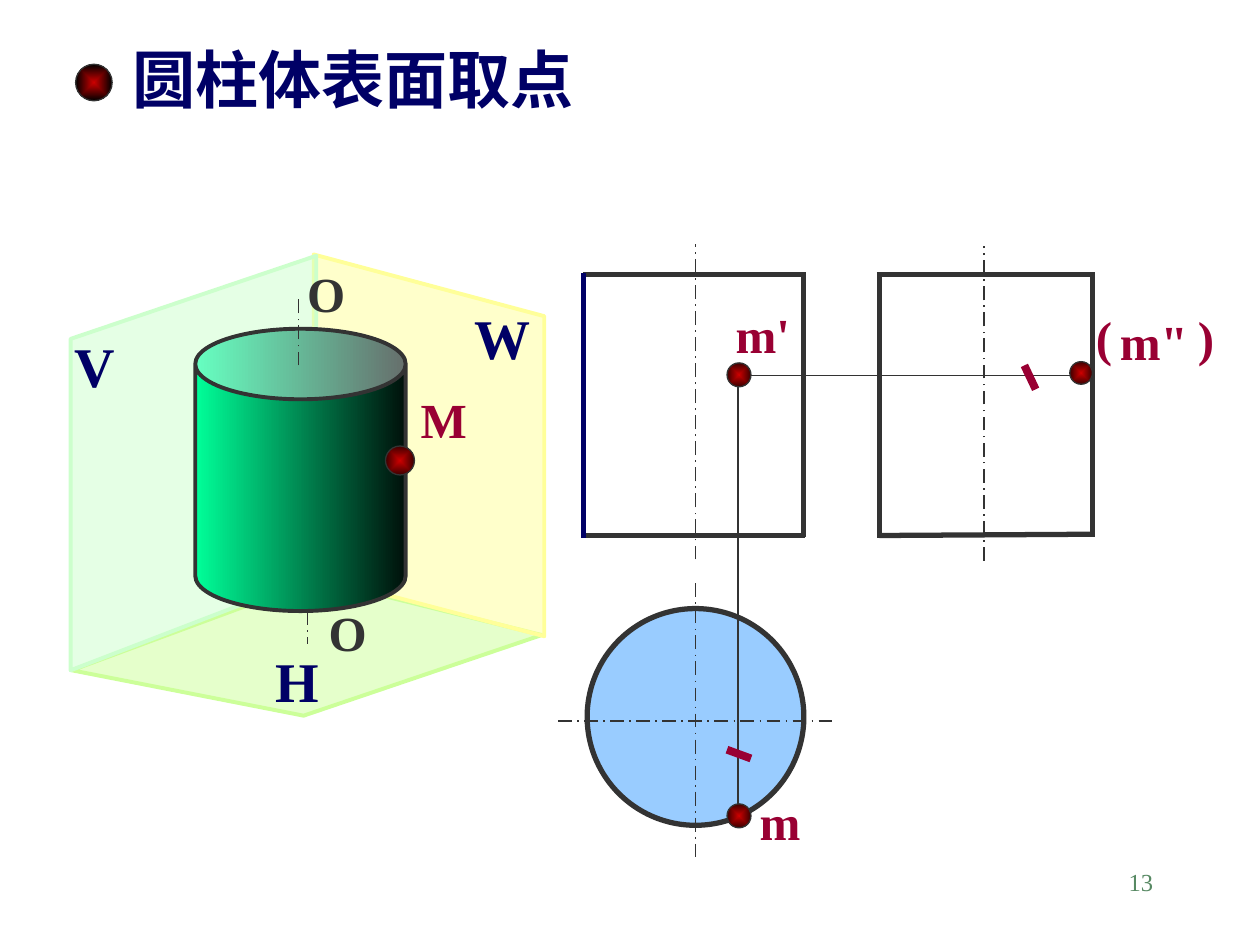
from lxml import etree
from pptx import Presentation
from pptx.dml.color import RGBColor
from pptx.enum.dml import MSO_LINE
from pptx.enum.shapes import MSO_CONNECTOR, MSO_SHAPE
from pptx.enum.text import MSO_ANCHOR, MSO_AUTO_SIZE, PP_ALIGN
from pptx.oxml.ns import qn
from pptx.util import Inches, Pt

OVAL, CAN = MSO_SHAPE.OVAL, MSO_SHAPE.CAN
STRAIGHT, AXIS_DASH = MSO_CONNECTOR.STRAIGHT, MSO_LINE.LONG_DASH_DOT
LEFT, RIGHT = PP_ALIGN.LEFT, PP_ALIGN.RIGHT
FONT = "Times New Roman"
NAVY, CRIMSON, DARK = "000066", "990033", "333333"


def rgb(color):
    return RGBColor.from_string(color)


def style_text(shape, text, size, color, bold=True, align=LEFT, wrap=False):
    tf = shape.text_frame
    tf.auto_size = MSO_AUTO_SIZE.NONE
    tf.word_wrap = wrap
    tf.vertical_anchor = MSO_ANCHOR.TOP
    p = tf.paragraphs[0]
    p.text = text
    p.alignment = align
    font = p.runs[0].font
    font.name, font.size, font.bold = FONT, Pt(size), bold
    font.color.rgb = rgb(color)
    return p


def add_label(s, text, x, y, w, h=0.57, size=28, color=CRIMSON, **options):
    box = s.shapes.add_textbox(Inches(x), Inches(y), Inches(w), Inches(h))
    return style_text(box, text, size, color, **options)


def add_line(s, x1, y1, x2, y2, width=3, color=DARK, dash=None):
    line = s.shapes.add_connector(
        STRAIGHT, Inches(x1), Inches(y1), Inches(x2), Inches(y2))
    line.line.color.rgb = rgb(color)
    line.line.width = Pt(width)
    if dash:
        line.line.dash_style = dash
    etree.SubElement(line._element.spPr, qn("a:effectLst"))


def add_axis(s, *ends):
    add_line(s, *ends, width=1, dash=AXIS_DASH)


def add_solid(s, kind, x, y, w, h, line_width):
    shape = s.shapes.add_shape(kind, Inches(x), Inches(y), Inches(w), Inches(h))
    shape.shadow.inherit = False
    shape.line.color.rgb = rgb(DARK)
    shape.line.width = Pt(line_width)
    return shape


def set_gradient(shape, start, end):
    fill = shape.fill
    fill.gradient()
    fill.gradient_angle = 0
    for stop, color, position in zip(fill.gradient_stops, (start, end), (0, 1)):
        stop.color.rgb = rgb(color)
        stop.position = position


def add_ball(s, x, y, size, edge="3C0000"):
    ball = add_solid(s, OVAL, x, y, size, size, 0.75)
    set_gradient(ball, "CC0000", edge)
    # Turn the linear gradient into one that spreads from the centre
    grad = ball._element.spPr.find(qn("a:gradFill"))
    lin = grad.find(qn("a:lin"))
    spread = etree.Element(qn("a:path"), path="shape")
    etree.SubElement(spread, qn("a:fillToRect"),
                     l="50000", t="50000", r="50000", b="50000")
    grad.replace(lin, spread)


def add_plane(s, color, points):
    corners = [(Inches(x), Inches(y)) for x, y in points]
    builder = s.shapes.build_freeform(*corners[0])
    builder.add_line_segments(corners[1:], close=True)
    plane = builder.convert_to_shape()
    plane.shadow.inherit = False
    plane.fill.solid()
    plane.fill.fore_color.rgb = rgb(color)
    fill_color = plane._element.spPr.find(qn("a:solidFill"))[0]
    etree.SubElement(fill_color, qn("a:alpha"), val="50000")
    plane.line.color.rgb = rgb(color)
    plane.line.width = Pt(2.25)


def add_views(s):
    # Top view
    circle = add_solid(s, OVAL, 4.66, 4.83, 1.72, 1.72, 3)
    circle.fill.solid()
    circle.fill.fore_color.rgb = rgb("99CCFF")
    add_axis(s, 5.52, 4.63, 5.52, 6.8)
    add_axis(s, 4.43, 5.72, 6.61, 5.72)
    # Front view
    add_axis(s, 5.52, 4.44, 5.52, 1.94)
    add_line(s, 6.38, 4.26, 6.38, 2.2)
    add_line(s, 4.65, 4.25, 6.39, 4.25)
    add_line(s, 4.63, 2.18, 6.4, 2.18)
    add_line(s, 4.63, 4.27, 4.63, 2.17, color=NAVY)
    # Side view
    add_axis(s, 7.81, 4.45, 7.81, 1.95)
    add_line(s, 6.96, 2.18, 8.69, 2.18)
    add_line(s, 6.98, 4.25, 8.69, 4.24)
    add_line(s, 6.98, 4.27, 6.98, 2.18)
    add_line(s, 8.67, 4.25, 8.67, 2.17)


def add_space_model(s):
    # Projection planes H, W and V
    add_plane(s, "CCFF99", [(2.52, 4.6), (0.57, 5.32), (2.41, 5.68), (4.3, 5.04)])
    add_plane(s, "FFFF99", [(2.49, 2.02), (2.49, 4.57), (4.32, 5.05), (4.32, 2.51)])
    add_plane(s, "CCFFCC", [(0.56, 2.69), (2.51, 2.03), (2.51, 4.57), (0.56, 5.32)])
    for name, x, y, w in (("V", 0.49, 2.58, 0.52), ("W", 3.67, 2.36, 0.65),
                          ("H", 2.09, 5.08, 0.55)):
        add_label(s, name, x, y, w, 0.63, 32, NAVY)
    # Cylinder with its axis
    cylinder = add_solid(s, CAN, 1.55, 2.61, 1.67, 2.24, 2.25)
    cylinder.adjustments[0] = 0.335
    set_gradient(cylinder, "00FF99", "00100A")
    add_axis(s, 2.37, 2.9, 2.37, 2.36)
    add_axis(s, 2.44, 4.85, 2.44, 5.11)
    add_label(s, "O", 2.34, 2.04, 0.5, color=DARK)
    add_label(s, "O", 2.51, 4.73, 0.5, color=DARK)


def add_point_m(s):
    # Point on the cylinder
    add_ball(s, 3.06, 3.54, 0.23)
    add_label(s, "M", 3.24, 3.04, 0.57)
    # Projection lines and the three projections
    add_line(s, 5.86, 2.95, 5.86, 6.5, width=1)
    add_line(s, 5.83, 2.98, 8.61, 2.98, width=1)
    add_label(s, "m'", 5.74, 2.37, 0.63)
    add_label(s, "m", 5.93, 6.23, 0.53)
    add_label(s, 'm"', 8.79, 2.42, 0.74)
    add_ball(s, 5.77, 6.38, 0.19)
    add_ball(s, 5.77, 2.88, 0.19)
    # Equal-distance ticks
    add_line(s, 5.77, 5.95, 5.96, 6.02, 4.5, CRIMSON)
    add_line(s, 8.13, 2.9, 8.22, 3.09, 4.5, CRIMSON)
    add_ball(s, 8.49, 2.87, 0.18)
    # Brackets for the hidden projection, spaced by a tab stop
    p = add_label(s, "(\t)", 8.6, 2.39, 1.14, wrap=True)
    tabs = etree.SubElement(p._p.get_or_add_pPr(), qn("a:tabLst"))
    etree.SubElement(tabs, qn("a:tab"), pos=str(Inches(0.81)), algn="l")


def main():
    prs = Presentation()
    prs.slide_width, prs.slide_height = Inches(10), Inches(7.5)
    s = prs.slides.add_slide(prs.slide_layouts[5])

    # Title with its bullet ball
    title = s.shapes.title
    title.left, title.top = Inches(0.95), Inches(0.27)
    title.width, title.height = Inches(5.49), Inches(0.7)
    style_text(title, "圆柱体表面取点", 36, NAVY, wrap=True)
    add_ball(s, 0.6, 0.51, 0.29, edge="000000")

    add_views(s)
    add_space_model(s)
    add_point_m(s)

    # Page number
    add_label(s, "13", 7.17, 6.83, 2.08, 0.5, 14, "578963",
              bold=False, align=RIGHT, wrap=True)
    prs.save("out.pptx")


if __name__ == "__main__":
    main()
